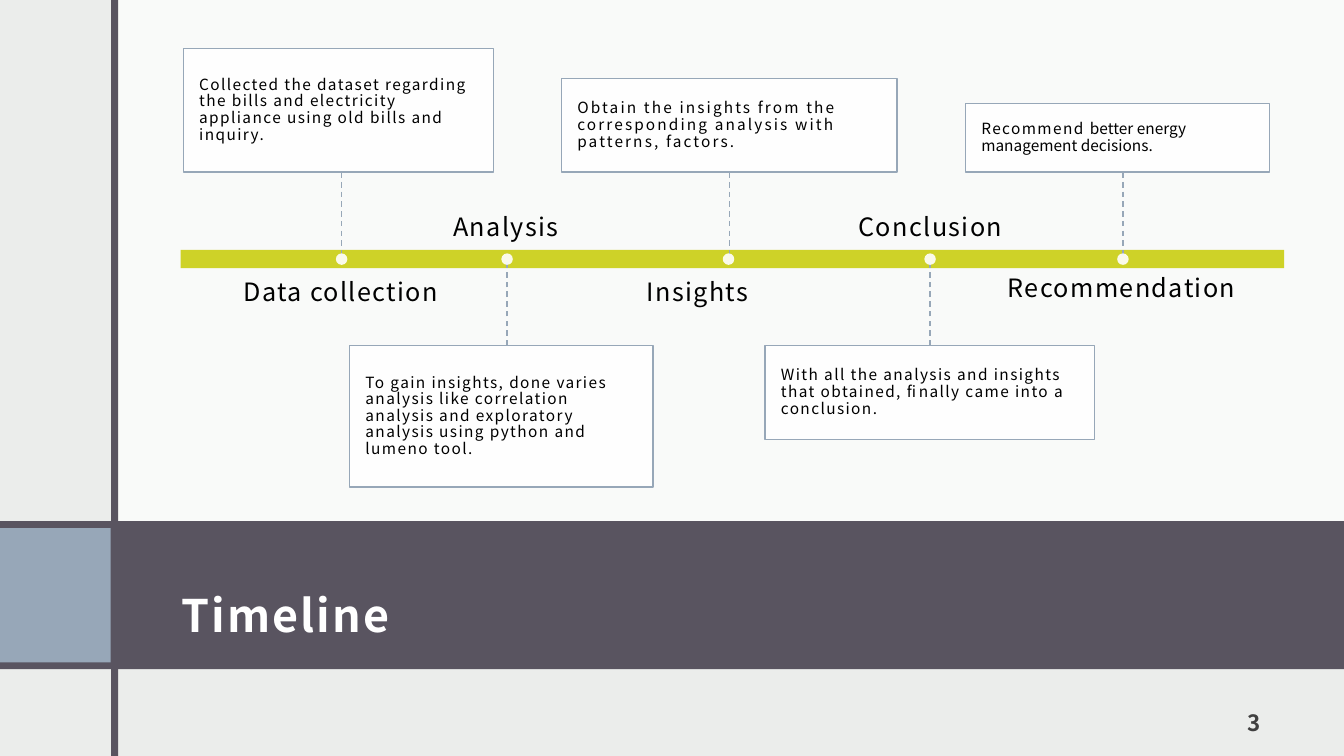
"""Build a project timeline slide with five alternating stops."""
from lxml import etree
from pptx import Presentation
from pptx.dml.color import RGBColor
from pptx.enum import dml, shapes, text
from pptx.oxml import ns
from pptx.util import Cm, Pt

FONT = "Noto Sans CJK JP"
STEEL, PLUM, LIME, WHITE = "97A7B8", "595460", "CED228", "FFFFFF"
AXIS_MIDDLE, UPPER_EDGE, LOWER_EDGE = 6.53, 4.34, 8.71
DOT = 0.29


def add_block(page, kind, place, color, opacity=100):
    block = page.shapes.add_shape(kind, *map(Cm, place))
    block.shadow.inherit = False
    block.line.fill.background()
    block.fill.solid()
    block.fill.fore_color.rgb = RGBColor.from_string(color)
    if opacity < 100:
        tint = block.fill._xPr.find(".//" + ns.qn("a:srgbClr"))
        etree.SubElement(tint, ns.qn("a:alpha"), val=str(opacity * 1000))
    return block


def write(shape, spans, size, color, align, anchor, margins, spacing=1.0, bold=False):
    frame = shape.text_frame
    frame.word_wrap = True
    frame.auto_size = text.MSO_AUTO_SIZE.NONE
    frame.vertical_anchor = anchor
    frame.margin_left, frame.margin_top, frame.margin_right, frame.margin_bottom = map(Cm, margins)
    para = frame.paragraphs[0]
    para.alignment = align
    para.line_spacing = spacing
    para.space_before = Pt(0)
    for words, tracking in spans:
        span = para.add_run()
        span.text = words
        span.font.name = FONT
        span.font.size = Pt(size)
        span.font.bold = bold
        span.font.color.rgb = RGBColor.from_string(color)
        span.font._element.set("spc", str(int(tracking * 100)))


deck = Presentation()
deck.slide_width, deck.slide_height = Cm(33.87), Cm(19.05)
page = deck.slides.add_slide(deck.slide_layouts[5])
page.background.fill.solid()
page.background.fill.fore_color.rgb = RGBColor.from_string("EBEDEB")

RECT, OVAL = shapes.MSO_SHAPE.RECTANGLE, shapes.MSO_SHAPE.OVAL
LEFT, CENTER, RIGHT = text.PP_ALIGN.LEFT, text.PP_ALIGN.CENTER, text.PP_ALIGN.RIGHT
TOP, MIDDLE, BOTTOM = text.MSO_ANCHOR.TOP, text.MSO_ANCHOR.MIDDLE, text.MSO_ANCHOR.BOTTOM

add_block(page, RECT, (2.9, 0, 30.97, 13.13), WHITE, 75)
add_block(page, RECT, (0, 13.13, 33.87, 3.73), PLUM)
add_block(page, RECT, (0, 13.31, 2.79, 3.38), STEEL)
add_block(page, RECT, (2.8, 0, 0.18, 19.05), PLUM)

title = page.shapes.title
title.element.getparent().append(title.element)
title.left, title.top, title.width, title.height = map(Cm, (4.27, 13.54, 27.81, 2.87))
write(title, [("Timeline", 1.5)], 32, WHITE, LEFT, BOTTOM, (0.3, 0.3, 0.3, 0.25), 1.5, True)

number = page.shapes.add_textbox(*map(Cm, (29.36, 17.53, 2.72, 1.27)))
write(number, [("3", 1.5)], 16, "404040", RIGHT, BOTTOM, (0.3, 0.3, 0.3, 0.25), bold=True)

add_block(page, RECT, (4.55, 6.3, 27.81, 0.46), LIME)

stops = [
    ("Data collection", 8.61, 4.88, (4.62, 7.82, 3.12), 1.0,
     [("Collected the dataset regarding the bills and electricity appliance "
       "using old bills and inquiry.", 1)]),
    ("Analysis", 12.78, 9.04, (8.81, 7.65, 3.56), 1.0,
     [("To gain insights, done varies analysis like correlation analysis and "
       "exploratory analysis using python and lumeno tool.", 1)]),
    ("Insights", 18.36, 13.87, (14.15, 8.46, 2.36), 1.0,
     [("Obtain the insights from the corresponding analysis with patterns, factors.", 1.5)]),
    ("Conclusion", 23.44, 19.74, (19.28, 8.31, 2.36), 0.9,
     [("With all the analysis and insights that obtained, finally came into a conclusion.", 1)]),
    ("Recommendation", 28.3, 24.56, (24.33, 7.67, 1.73), 0.9,
     [("Recommend ", 1), ("better energy management decisions.", 0)]),
]

for index, (name, x, label_left, (left, width, height), spacing, spans) in enumerate(stops):
    upper = index % 2 == 0
    edge = UPPER_EDGE if upper else LOWER_EDGE
    top = edge - height if upper else edge

    box = add_block(page, RECT, (left, top, width, height), WHITE, 90)
    box.line.color.rgb = RGBColor.from_string(STEEL)
    box.line.width = Pt(1)
    write(box, spans, 11, "000000", LEFT, MIDDLE, (0.4, 0.15, 0.4, 0.15), 0.9)

    stem = page.shapes.add_connector(
        shapes.MSO_CONNECTOR.STRAIGHT, Cm(x), Cm(edge), Cm(x), Cm(AXIS_MIDDLE))
    stem.line.color.rgb = RGBColor.from_string(STEEL)
    stem.line.width = Pt(1)
    stem.line.dash_style = dml.MSO_LINE.DASH
    etree.SubElement(stem.element.spPr, ns.qn("a:effectLst"))
    if abs(left + width / 2 - x) < 0.03:
        stem.begin_connect(box, 2 if upper else 0)
        stem.end_x = stem.begin_x

    label = page.shapes.add_textbox(Cm(label_left), Cm(6.96 if upper else 4.8), Cm(7.42), Cm(1.3))
    write(label, [(name, 1)], 18, "000000", CENTER, TOP if upper else BOTTOM, (0, 0, 0, 0), spacing)

    add_block(page, OVAL, (x - DOT / 2, AXIS_MIDDLE - DOT / 2, DOT, DOT), WHITE, 90)

deck.save("out.pptx")
